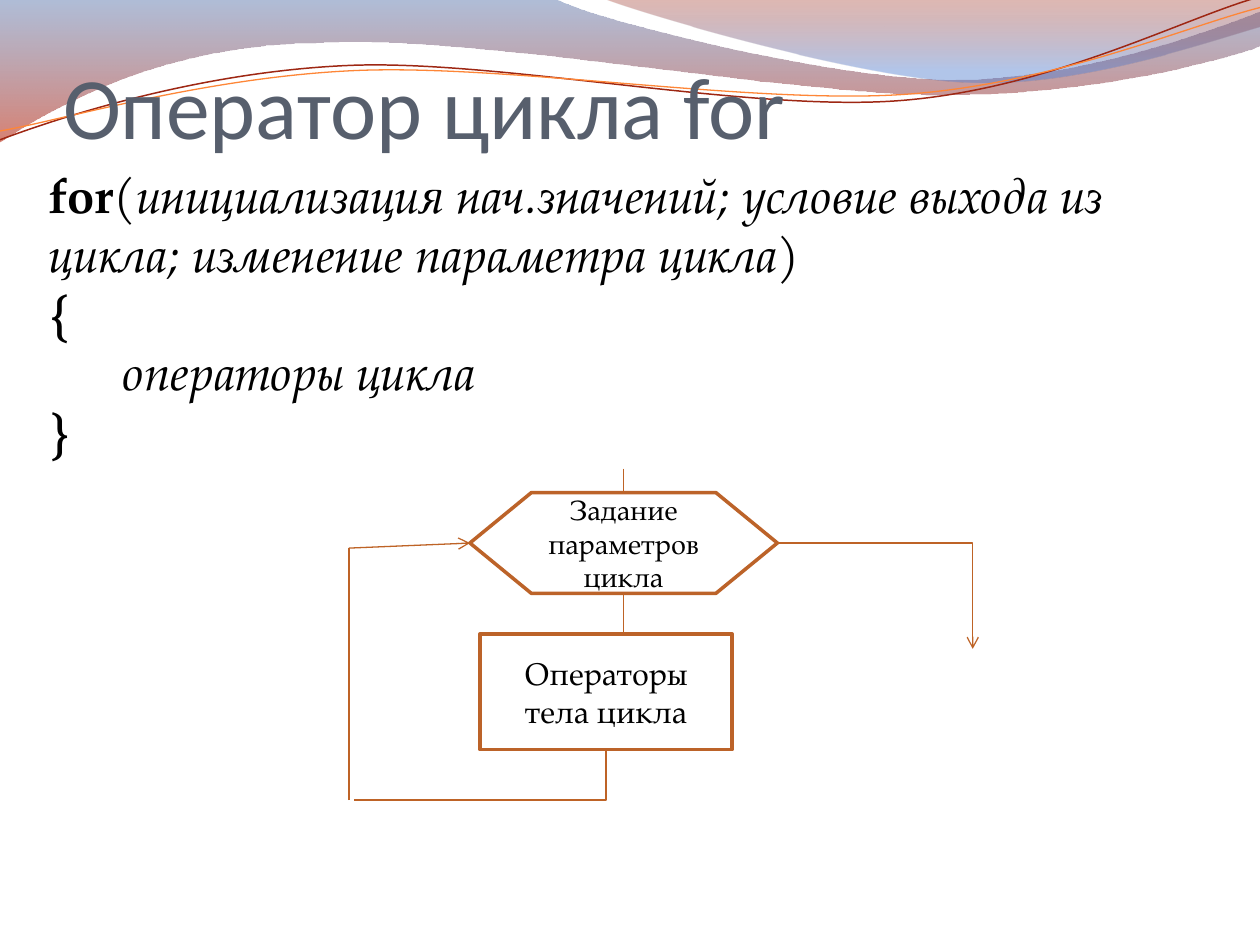
import pptx
import pptx.util
import pptx.dml.color
import pptx.enum.shapes
import pptx.enum.text
import pptx.oxml
import pptx.oxml.ns
from pptx.util import Inches

COLORS = {"title": "575F6D", "text": "000000", "box": "BC6329", "arrow": "BE6326",
          "red_wave": "9E2713", "orange_wave": "FE8637", "blue": "4F6EA8",
          "red": "B61A00", "dark_red": "951500", "light_blue": "5681D1"}
BODY_FONT = "TeX Gyre Pagella"
SHAPE = pptx.enum.shapes.MSO_SHAPE
CONNECTOR = pptx.enum.shapes.MSO_CONNECTOR
ALIGN = pptx.enum.text.PP_ALIGN
ANCHOR = pptx.enum.text.MSO_ANCHOR
A_NS = pptx.oxml.ns.nsdecls("a")
qn = pptx.oxml.ns.qn


def rgb(name):
    return pptx.dml.color.RGBColor.from_string(COLORS[name])


def add_text(paragraph, text, size=28, font=BODY_FONT, color="text",
             bold=False, italic=False, align=ALIGN.LEFT):
    paragraph.alignment = align
    run = paragraph.add_run()
    run.text = text
    run.font.size = pptx.util.Pt(size)
    run.font.name = font
    run.font.bold = bold
    run.font.italic = italic
    run.font.color.rgb = rgb(color)


def set_line(part, color, width):
    part.line.color.rgb = rgb(color)
    part.line.width = pptx.util.Pt(width)


# Waves: a start point, then segments of one point (line) or three (curve)
def add_wave(slide, box, start, segments, closed=False):
    left, top = box[:2]

    def to_emu(point):
        return Inches(left + point[0]), Inches(top + point[1])

    builder = slide.shapes.build_freeform(*to_emu(start))
    builder.add_line_segments([to_emu(p) for seg in segments for p in seg],
                              close=closed)
    wave = builder.convert_to_shape()
    steps = iter(list(wave.element.spPr.iter(qn("a:lnTo"))))
    for segment in segments:
        group = [next(steps) for _ in segment]
        if len(group) == 3:
            curve = pptx.oxml.parse_xml(f"<a:cubicBezTo {A_NS}/>")
            group[0].addprevious(curve)
            for step in group:
                curve.append(step[0])
                step.getparent().remove(step)
    wave.shadow.inherit = False
    wave.fill.background()
    return wave


def fill_gradient(shape, stops):
    shape.line.fill.background()
    gs = "".join(f'<a:gs pos="{pos * 1000}"><a:srgbClr val="{COLORS[color]}">'
                 f'<a:alpha val="{alpha * 1000}"/></a:srgbClr></a:gs>'
                 for pos, color, alpha in stops)
    gradient = pptx.oxml.parse_xml(f'<a:gradFill {A_NS}><a:gsLst>{gs}</a:gsLst>'
                                   '<a:lin ang="5400000" scaled="0"/></a:gradFill>')
    no_fill = shape.element.spPr.find(qn("a:noFill"))
    no_fill.getparent().replace(no_fill, gradient)


def add_waves(slide, master, box):
    bands = [
        ((0, -0.01),
         [[(4.4, -0.01)],
          [(4.76, 0.17), (6.64, 0.63), (7.58, 0.63)],
          [(8.53, 0.63), (9.58, 0.26), (10, 0.09)],
          [(10.01, 0.36)],
          [(9.83, 0.44), (8.7, 0.76), (7.46, 0.75)],
          [(6.22, 0.75), (3.82, 0.28), (2.57, 0.34)],
          [(1.29, 0.35), (0.46, 0.83), (-0.01, 1.13)]],
         [(0, "blue", 45), (100, "red", 55)]),
        ((4.79, -0.01),
         [[(5.09, 0.11), (6.82, 0.62), (7.69, 0.65)],
          [(8.56, 0.69), (9.61, 0.32), (10, 0.21)],
          [(10, 0)]],
         [(0, "dark_red", 30), (80, "light_blue", 45)]),
    ]
    strands = [
        ((0, 1.11),
         [[(0.48, 0.93), (1.58, 0.57), (2.77, 0.52)],
          [(3.95, 0.47), (5.93, 0.89), (7.13, 0.8)],
          [(8.33, 0.71), (9.38, 0.15), (9.98, -0.02)]], "red_wave", 0.85),
        ((0, 1.04),
         [[(0.47, 0.96), (1.64, 0.61), (2.83, 0.56)],
          [(4.03, 0.51), (5.97, 0.83), (7.17, 0.75)],
          [(8.36, 0.67), (9.41, 0.21), (10, 0.06)]], "orange_wave", 0.75),
    ]
    waves = []
    for start, segments, stops in bands:
        waves.append(add_wave(slide, box, start, segments, closed=True))
        fill_gradient(waves[-1], stops)
    pair = []
    for start, segments, color, width in strands:
        pair.append(add_wave(slide, box, start, segments))
        set_line(pair[-1], color, width)
    waves.append(slide.shapes.add_group_shape(pair))

    # The waves belong to the master, behind everything on the slide
    master_tree = master.placeholders[0].element.getparent()
    for wave in waves:
        master_tree.append(wave.element)


# Title
def place_title(slide, box):
    title = slide.shapes.title
    title.left, title.top, title.width, title.height = map(Inches, box)
    frame = title.text_frame
    frame.auto_size = pptx.enum.text.MSO_AUTO_SIZE.NONE
    frame.vertical_anchor = ANCHOR.BOTTOM
    frame.margin_left = frame.margin_right = frame.margin_bottom = 0
    frame.margin_top = Inches(0.05)
    add_text(frame.paragraphs[0], "Оператор цикла for", size=50, font="Calibri",
             color="title")


# Syntax of the loop
def add_syntax(slide, box):
    frame = slide.shapes.add_textbox(*map(Inches, box)).text_frame
    frame.word_wrap = True
    frame.auto_size = pptx.enum.text.MSO_AUTO_SIZE.SHAPE_TO_FIT_TEXT
    bold, italic = {"bold": True}, {"italic": True}
    lines = [
        (0, [("for", bold), ("(", {}),
             ("инициализация нач.значений; условие выхода из цикла; "
              "изменение параметра цикла", italic), (")", {})]),
        (0, [("{", bold)]),
        (0.58, [("операторы цикла", italic)]),
        (0, [("}", bold)]),
    ]
    for i, (indent, runs) in enumerate(lines):
        paragraph = frame.add_paragraph() if i else frame.paragraphs[0]
        for text, style in runs:
            add_text(paragraph, text, **style)
        paragraph._p.get_or_add_pPr().set("marL", str(Inches(indent)))


# Flowchart
def add_block(slide, kind, box, text, size):
    block = slide.shapes.add_shape(kind, *map(Inches, box))
    block.shadow.inherit = False
    block.fill.background()
    set_line(block, "box", 2)
    frame = block.text_frame
    frame.word_wrap = True
    frame.vertical_anchor = ANCHOR.MIDDLE
    add_text(frame.paragraphs[0], text, size=size, align=ALIGN.CENTER)


def add_link(slide, start, end, preset="line", arrow=False, rotation=0):
    kind = CONNECTOR.STRAIGHT if preset == "line" else CONNECTOR.ELBOW
    link = slide.shapes.add_connector(kind, *map(Inches, start + end))
    set_line(link, "arrow", 0.75)
    properties = link.element.spPr
    properties.find(qn("a:prstGeom")).set("prst", preset)
    if rotation:
        properties.find(qn("a:xfrm")).set("rot", str(rotation * 60000))
    if arrow:
        properties.find(qn("a:ln")).append(
            pptx.oxml.parse_xml(f'<a:tailEnd {A_NS} type="arrow"/>'))
    properties.append(pptx.oxml.parse_xml(f'<a:effectLst {A_NS}/>'))


def add_flowchart(slide, box):
    left, top = box[:2]

    def at(x, y):
        return left + x, top + y

    add_block(slide, SHAPE.FLOWCHART_PREPARATION, at(0.96, 0.19) + (2.44, 0.8),
              "Задание параметров цикла", 16)
    add_block(slide, SHAPE.FLOWCHART_PROCESS, at(1.04, 1.31) + (2, 0.92),
              "Операторы тела цикла", 18)
    add_link(slide, at(2.18, 0), at(2.18, 0.19))
    add_link(slide, at(2.18, 0.99), at(2.18, 1.3))
    # Way back to the loop header; turned links run down and left, then up
    add_link(slide, at(0.84, 1.43), at(1.24, 3.43), "bentConnector2", rotation=90)
    add_link(slide, at(1, 1.63), at(-1, 1.63), "bentConnector3", rotation=90)
    add_link(slide, at(0, 0.63), at(0.96, 0.59), arrow=True)
    # Exit from the loop
    add_link(slide, at(3.4, 0.59), at(4.95, 1.43), "bentConnector2", arrow=True)


presentation = pptx.Presentation()
presentation.slide_width, presentation.slide_height = Inches(10), Inches(7.5)
loop_slide = presentation.slides.add_slide(presentation.slide_layouts[5])
add_waves(loop_slide, presentation.slide_master, (0, 0, 10, 1.13))
place_title(loop_slide, (0.5, 0, 9.08, 1.25))
add_syntax(loop_slide, (0.29, 1.26, 9.06, 2.76))
add_flowchart(loop_slide, (2.77, 3.72, 4.95, 2.63))
presentation.save("out.pptx")
